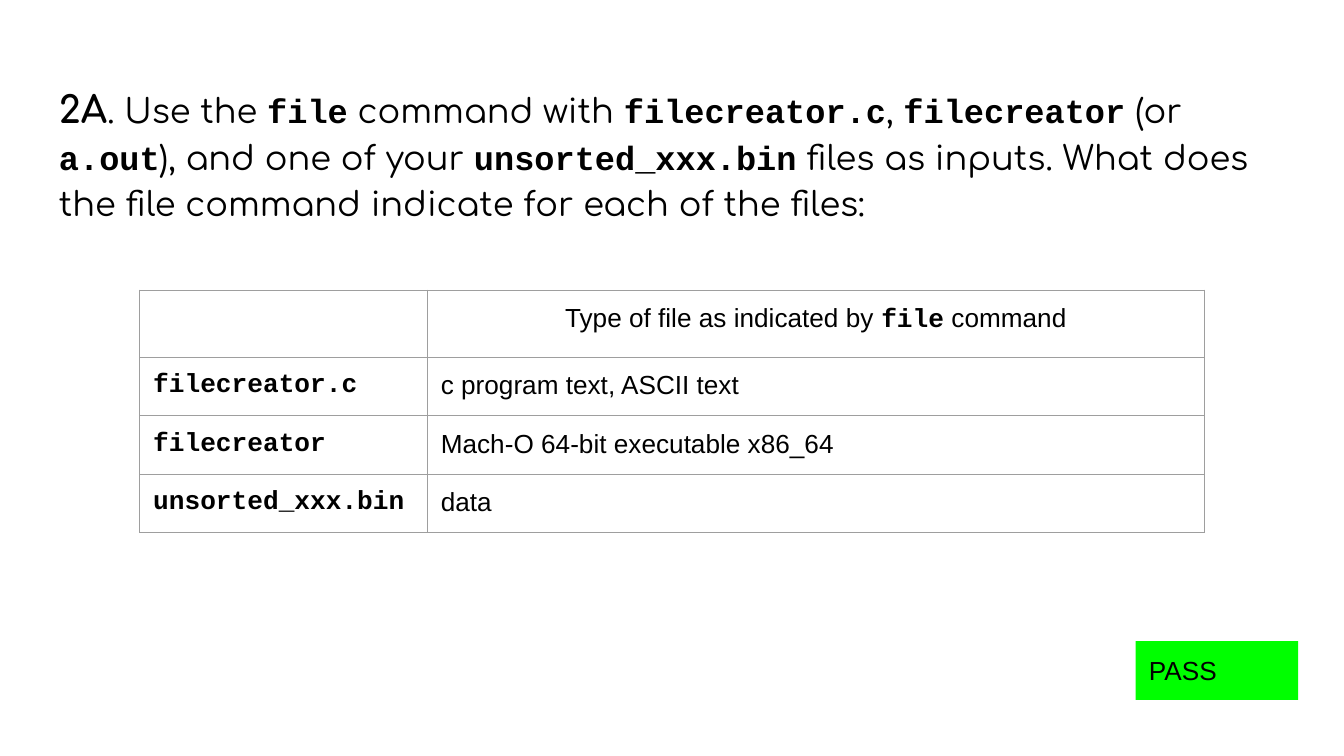
"""Build a slide with a question, a table of file types and a pass mark."""
import pptx
import pptx.util
import pptx.dml.color
import pptx.enum.shapes
import pptx.enum.text
import lxml.etree

HUES = {"ink": "000000", "edge": "9E9E9E", "pass": "00FF00"}
FONTS = {"head": ("Comfortaa", True), "body": ("Comfortaa", False),
         "code": ("Courier New", True), "plain": ("Arial", False)}
WIDE = 10
HIGH = WIDE * 9 / 16
PAD = 0.1

TASK = [
    ("2A", "head", 20), (". Use the ", "body", 18), ("file", "code", 18),
    (" command with ", "body", 18), ("filecreator.c", "code", 18),
    (", ", "body", 18), ("filecreator", "code", 18), (" (or ", "body", 18),
    ("a.out", "code", 18), ("), and one of your ", "body", 18),
    ("unsorted_xxx.bin", "code", 18),
    (" files as inputs. What does the file command indicate for each of the files:",
     "body", 18),
]
HEAD = [("Type of file as indicated by ", "plain", 14), ("file", "code", 14),
        (" command", "plain", 14)]
TYPES = [("filecreator.c", "c program text, ASCII text"),
         ("filecreator", "Mach-O 64-bit executable x86_64"),
         ("unsorted_xxx.bin", "data")]
ROWS = [[[], HEAD]] + [[[(name, "code", 14)], [(kind, "plain", 14)]]
                       for name, kind in TYPES]
COLS = [2.14, 5.78]
TALL = [0.25] + [0.42] * len(TYPES)

inch = pptx.util.Inches


def hue(name):
    return pptx.dml.color.RGBColor.from_string(HUES[name])


def place(*box):
    return [inch(size) for size in box]


def share(left, top, width, height):
    return place(left * WIDE, top * HIGH, width * WIDE, height * HIGH)


def inset(item):
    item.margin_left = item.margin_right = inch(PAD)
    item.margin_top = item.margin_bottom = inch(PAD)


def write(para, runs):
    for text, style, size in runs:
        run = para.add_run()
        run.text = text
        run.font.name, run.font.bold = FONTS[style]
        run.font.size = pptx.util.Pt(size)
        run.font.color.rgb = hue("ink")


def frame(cell):
    props = cell._tc.get_or_add_tcPr()
    space = props.nsmap["a"]
    for at, side in enumerate(("lnL", "lnR", "lnT", "lnB")):
        line = lxml.etree.Element(f"{{{space}}}{side}", w=str(pptx.util.Pt(0.75)))
        fill = lxml.etree.SubElement(line, f"{{{space}}}solidFill")
        lxml.etree.SubElement(fill, f"{{{space}}}srgbClr", val=HUES["edge"])
        props.insert(at, line)


def add_task(slide):
    box = slide.shapes.add_textbox(*share(0.034, 0.087, 0.932, 0.853))
    box.text_frame.word_wrap = True
    inset(box.text_frame)
    para = box.text_frame.paragraphs[0]
    para.line_spacing = 1.15
    write(para, TASK)


def add_types(slide):
    table = slide.shapes.add_table(
        len(ROWS), len(COLS),
        *place(0.104 * WIDE, 0.384 * HIGH, sum(COLS), sum(TALL))).table
    table.first_row = table.horz_banding = False
    for col, width in zip(table.columns, COLS):
        col.width = inch(width)
    for row, height, cells in zip(table.rows, TALL, ROWS):
        row.height = inch(height)
        for cell, runs in zip(row.cells, cells):
            inset(cell)
            cell.fill.background()
            frame(cell)
            para = cell.text_frame.paragraphs[0]
            if runs is HEAD:
                para.alignment = pptx.enum.text.PP_ALIGN.CENTER
            write(para, runs)


def add_mark(slide):
    mark = slide.shapes.add_shape(
        pptx.enum.shapes.MSO_SHAPE.RECTANGLE,
        *share(0.845, 0.848, 0.121, 0.078))
    mark.shadow.inherit = False
    mark.fill.solid()
    mark.fill.fore_color.rgb = hue("pass")
    mark.line.fill.background()
    inset(mark.text_frame)
    mark.text_frame.word_wrap = True
    mark.text_frame.vertical_anchor = pptx.enum.text.MSO_ANCHOR.TOP
    para = mark.text_frame.paragraphs[0]
    para.alignment = pptx.enum.text.PP_ALIGN.LEFT
    write(para, [("PASS", "plain", 14)])


def main():
    deck = pptx.Presentation()
    deck.slide_width, deck.slide_height = place(WIDE, HIGH)
    slide = deck.slides.add_slide(deck.slide_layouts[6])
    add_task(slide)
    add_types(slide)
    add_mark(slide)
    deck.save("out.pptx")


if __name__ == "__main__":
    main()
